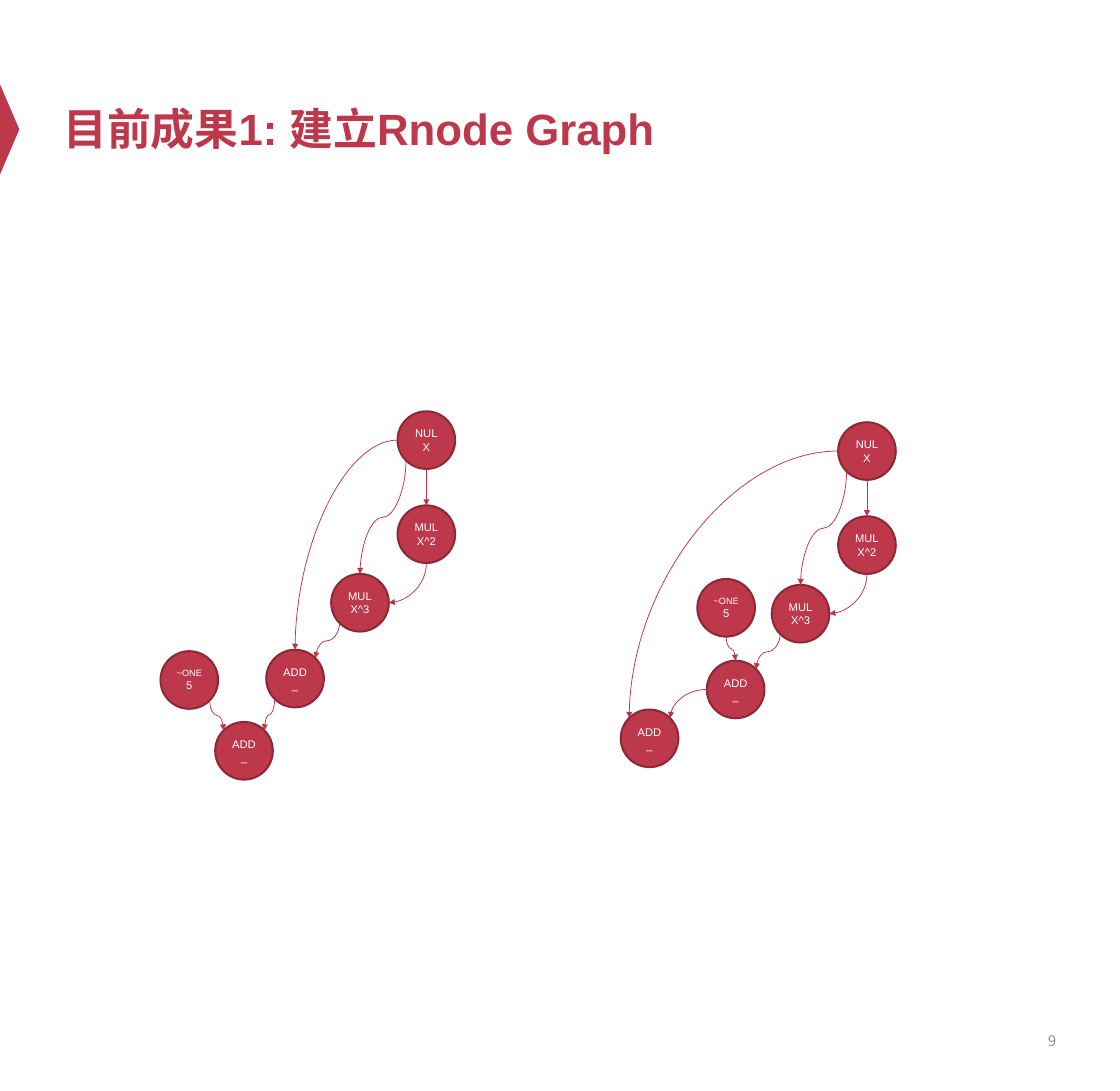
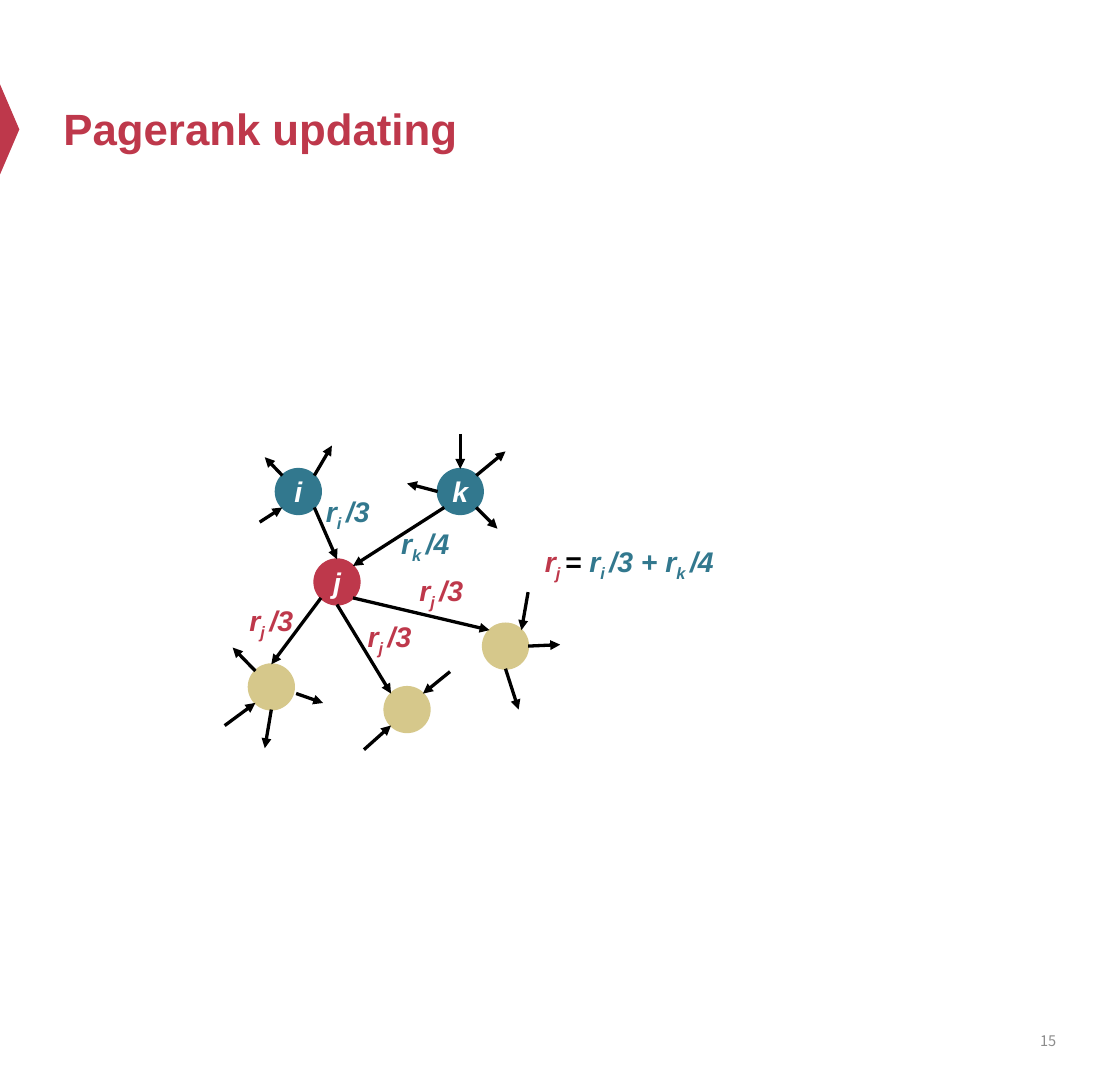
from dataclasses import dataclass
from math import cos, pi, sin
from typing import Any, Union

from pptx import Presentation
from pptx.dml.color import RGBColor
from pptx.enum.shapes import MSO_CONNECTOR, MSO_SHAPE
from pptx.enum.text import MSO_ANCHOR, MSO_AUTO_SIZE, PP_ALIGN
from pptx.oxml import parse_xml
from pptx.oxml.ns import nsdecls, qn
from pptx.util import Inches, Pt

OVAL, TRI = MSO_SHAPE.OVAL, MSO_SHAPE.ISOSCELES_TRIANGLE
LINE, CURVE = MSO_CONNECTOR.STRAIGHT, MSO_CONNECTOR.CURVE
MID, FIXED = MSO_ANCHOR.MIDDLE, MSO_AUTO_SIZE.NONE
LEFT, MIDDLE, RIGHT = PP_ALIGN.LEFT, PP_ALIGN.CENTER, PP_ALIGN.RIGHT

# The page is 39 by 38 centimetres
WIDE, HIGH = Inches(39 / 2.54), Inches(38 / 2.54)

RED, RIM, CURL = "BE384B", "8D2937", "BD3347"
TEAL, SAND, GREY = "32788E", "D6C88B", "8C8C8C"
BLACK, WHITE = "000000", "FFFFFF"
CJK = "Noto Sans CJK SC"

TITLE = {"name": "Arial", "size": Pt(43.2), "bold": True}
PAGE = {"name": CJK, "size": Pt(14.4)}
NODE = {"name": "Arial", "size": Pt(11)}
SMALL = NODE | {"size": Pt(9)}
MATH = {"name": "Arial", "size": Pt(28), "bold": True, "italic": True}

# Connection sites of an ellipse, counter-clockwise from the top
TOP, NW, WEST, SW, BASE, SE, EAST, NE = range(8)
SIDES = (WEST, EAST)


@dataclass
class Disc:
    x: float
    y: float
    size: float
    fill: str
    rim: str
    text: tuple[str, ...] = ()
    fmt: Any = None
    shape: Any = None

    def site(self, num: int) -> tuple[float, float]:
        half, turn = self.size / 2, num * pi / 4
        return (self.x + half - half * sin(turn),
                self.y + half - half * cos(turn))


@dataclass
class Edge:
    src: str
    out: int
    dst: str
    into: int


@dataclass
class Label:
    x: float
    y: float
    wide: float
    runs: tuple[tuple[str, str, bool], ...]


End = Union[tuple[str, int], tuple[float, float]]


def paint(spot: Any, color: str) -> None:
    spot.rgb = RGBColor.from_string(color)


def style(font: Any, fmt: dict[str, Any], color: str) -> None:
    for key, val in fmt.items():
        setattr(font, key, val)
    paint(font.color, color)


def box(x: float, y: float, wide: float, high: float) -> list[int]:
    return [Inches(val) for val in (x, y, wide, high)]


def block(slide: Any, kind: Any, area: list[int], fill: str) -> Any:
    shape = slide.shapes.add_shape(kind, *area)
    shape.shadow.inherit = False
    shape.fill.solid()
    paint(shape.fill.fore_color, fill)
    shape.line.fill.background()
    return shape


def draw_disc(slide: Any, disc: Disc) -> None:
    shape = block(slide, OVAL, box(disc.x, disc.y, disc.size, disc.size),
                  disc.fill)
    disc.shape = shape
    shape.line.width = Pt(2)
    shape.line.fill.solid()
    paint(shape.line.color, disc.rim)
    frame = shape.text_frame
    frame.word_wrap, frame.vertical_anchor = False, MID
    for side in ("left", "right", "top", "bottom"):
        setattr(frame, f"margin_{side}", 0)
    for num, text in enumerate(disc.text):
        para = frame.add_paragraph() if num else frame.paragraphs[0]
        para.alignment = MIDDLE
        run = para.add_run()
        run.text = text
        fmt = SMALL if text.startswith("~") else disc.fmt
        style(run.font, fmt, WHITE)


def link(slide: Any, kind: Any, start: tuple[float, float],
         stop: tuple[float, float], color: str, width: float) -> Any:
    """Draw a connector with an arrowhead at its end."""
    conn = slide.shapes.add_connector(
        kind, *(Inches(val) for val in (*start, *stop)))
    conn.line.width = Pt(width)
    paint(conn.line.color, color)
    conn.line._get_or_add_ln().append(
        parse_xml(f'<a:tailEnd {nsdecls("a")} type="triangle"/>'))
    conn._element.spPr.append(parse_xml(f'<a:effectLst {nsdecls("a")}/>'))
    return conn


def glue(conn: Any, tag: str, disc: Disc, site: int) -> None:
    conn._element.nvCxnSpPr.cNvCxnSpPr.append(parse_xml(
        f'<a:{tag} {nsdecls("a")} id="{disc.shape.shape_id}" idx="{site}"/>'))


def draw_edge(slide: Any, discs: dict[str, Disc], edge: Edge) -> None:
    """Draw a curve that leaves and enters each disc along its site."""
    src, dst = discs[edge.src], discs[edge.dst]
    (x1, y1), (x2, y2) = src.site(edge.out), dst.site(edge.into)
    conn = link(slide, CURVE, (x1, y1), (x2, y2), CURL, 0.75)
    wide, high = abs(x2 - x1), abs(y2 - y1)
    if edge.out in SIDES:
        turn, flip = 180, "flipV"
    else:
        wide, high = high, wide
        turn, flip = (270, "flipH") if x2 > x1 else (90, "")
    conn.left, conn.top, conn.width, conn.height = box(
        (x1 + x2 - wide) / 2, (y1 + y2 - high) / 2, wide, high)
    xfrm = conn._element.spPr.find(qn("a:xfrm"))
    for key in ("flipH", "flipV"):
        xfrm.attrib.pop(key, None)
    xfrm.set("rot", str(turn * 60000))
    if flip:
        xfrm.set(flip, "1")
    geom = conn._element.spPr.find(qn("a:prstGeom"))
    if (edge.out in SIDES) != (edge.into in SIDES):
        geom.set("prst", "curvedConnector2")
    else:
        geom.find(qn("a:avLst")).append(parse_xml(
            f'<a:gd {nsdecls("a")} name="adj1" fmla="val 50000"/>'))
    glue(conn, "stCxn", src, edge.out)
    glue(conn, "endCxn", dst, edge.into)


def draw_arrow(slide: Any, discs: dict[str, Disc], ends: tuple[End, End]) -> None:
    """Draw a straight arrow; an end is a disc's site or a free point."""
    spots = [discs[end[0]].site(end[1]) if end[0] in discs else end
             for end in ends]
    conn = link(slide, LINE, *spots, BLACK, 3.25)
    for tag, end in zip(("stCxn", "endCxn"), ends):
        if end[0] in discs:
            glue(conn, tag, discs[end[0]], end[1])


def draw_label(slide: Any, label: Label) -> None:
    area = box(label.x, label.y, label.wide, 0.57)
    frame = slide.shapes.add_textbox(*area).text_frame
    frame.word_wrap = False
    for text, color, sub in label.runs:
        run = frame.paragraphs[0].add_run()
        run.text = text
        style(run.font, MATH, color)
        if sub:
            run.font._element.set("baseline", "-25000")


def share(name: str, part: str, color: str) -> tuple[tuple[str, str, bool], ...]:
    return ("r", color, False), (f"{name} ", color, True), (part, color, False)


def add_mark(deck: Any, slide: Any) -> None:
    """Put the red pointer on the master."""
    mark = block(slide, TRI, box(-0.5, 1.64, 1.26, 0.27), RED)
    mark.rotation = 90
    deck.slide_master.shapes._spTree.append(mark._element)


def add_page(deck: Any, text: str, page: int) -> Any:
    slide = deck.slides.add_slide(deck.slide_layouts[5])
    title = slide.shapes.title
    title.left, title.top, title.width, title.height = box(
        0.77, 0.51, 13.82, 2.49)
    num = slide.shapes.add_textbox(*box(11, 13.87, 3.58, 0.8))
    for shape, words, fmt, color, side in (
            (title, text, TITLE, RED, LEFT),
            (num, str(page), PAGE, GREY, RIGHT)):
        frame = shape.text_frame
        frame.word_wrap, frame.auto_size = True, FIXED
        frame.vertical_anchor = MID
        para = frame.paragraphs[0]
        para.alignment = side
        run = para.add_run()
        run.text = words
        style(run.font, fmt, color)
        run.font._element.append(
            parse_xml(f'<a:ea {nsdecls("a")} typeface="{CJK}"/>'))
    return slide


WORDS = {"nul": ("NUL", "X"), "sq": ("MUL", "X^2"), "cube": ("MUL", "X^3"),
         "add": ("ADD", "_"), "one": ("~ONE", "5"), "sum": ("ADD", "_")}
CHAIN = {"nul": (5.45, 5.64), "sq": (5.45, 6.93), "cube": (4.54, 7.87),
         "add": (3.65, 8.91)}
SHIFT = (6.04, 0.15)
LINKS = [Edge("nul", BASE, "sq", TOP), Edge("sq", BASE, "cube", EAST),
         Edge("nul", SW, "cube", TOP), Edge("cube", SW, "add", NE)]
GRAPHS = [
    (CHAIN | {"one": (2.2, 8.93), "sum": (2.95, 9.9)},
     [Edge("nul", WEST, "add", TOP), Edge("one", SE, "sum", NW),
      Edge("add", SW, "sum", NE)]),
    ({key: (x + SHIFT[0], y + SHIFT[1]) for key, (x, y) in CHAIN.items()}
     | {"one": (9.56, 7.94), "sum": (8.51, 9.73)},
     [Edge("nul", WEST, "sum", NW), Edge("one", BASE, "add", TOP),
      Edge("add", WEST, "sum", NE)]),
]

RANKS = {"a": (3.41, 9.11, SAND), "b": (5.27, 9.42, SAND),
         "c": (6.62, 8.55, SAND), "j": (4.31, 7.67, RED),
         "k": (6, 6.43, TEAL), "i": (3.78, 6.43, TEAL)}
ARROWS: list[tuple[End, End]] = [
    (("i", SE), ("j", TOP)), (("k", SW), ("j", NE)),
    (("j", SW), ("a", TOP)), (("j", BASE), ("b", NW)),
    (("j", SE), ("c", NW)),
    (("i", NW), (3.63, 6.27)), (("i", NE), (4.55, 6.11)),
    ((3.56, 7.16), ("i", SW)),
    (("k", WEST), (5.58, 6.63)), ((6.31, 5.95), ("k", TOP)),
    (("k", NE), (6.93, 6.19)), (("k", SE), (6.82, 7.25)),
    (("a", NW), (3.19, 8.88)), ((4.06, 9.51), (4.43, 9.64)),
    (("a", BASE), (3.63, 10.26)), ((3.08, 9.95), ("a", SW)),
    ((4.99, 10.28), ("b", SW)), ((6.17, 9.21), ("b", NE)),
    ((7.24, 8.12), ("c", NE)), (("c", EAST), (7.68, 8.84)),
    (("c", BASE), (7.11, 9.73)),
]
LABELS = [
    Label(4.37, 6.73, 1.02, share("i", "/3", TEAL)),
    Label(5.4, 7.16, 1.13, share("k", "/4", TEAL)),
    *(Label(x, y, 0.89, share("j", "/3", RED))
      for x, y in ((3.32, 8.22), (4.94, 8.44), (5.65, 7.81))),
    Label(7.37, 7.41, 3, (*share("j", "", RED)[:2], ("= ", BLACK, False),
                          *share("i", "/3 + ", TEAL),
                          *share("k", "/4", TEAL))),
]


def main() -> None:
    deck = Presentation()
    deck.slide_width, deck.slide_height = WIDE, HIGH

    slide = add_page(deck, "目前成果1: 建立Rnode Graph", 9)
    add_mark(deck, slide)
    for spots, extra in GRAPHS:
        discs = {key: Disc(*spot, 0.79, RED, RIM, WORDS[key], NODE)
                 for key, spot in spots.items()}
        for disc in discs.values():
            draw_disc(slide, disc)
        for edge in LINKS + extra:
            draw_edge(slide, discs, edge)

    slide = add_page(deck, "Pagerank updating", 15)
    discs = {key: Disc(x, y, 0.62, fill, fill, (key,) if fill != SAND else (),
                       MATH)
             for key, (x, y, fill) in RANKS.items()}
    for disc in discs.values():
        draw_disc(slide, disc)
    for ends in ARROWS:
        draw_arrow(slide, discs, ends)
    for label in LABELS:
        draw_label(slide, label)

    deck.save("out.pptx")


if __name__ == "__main__":
    main()
